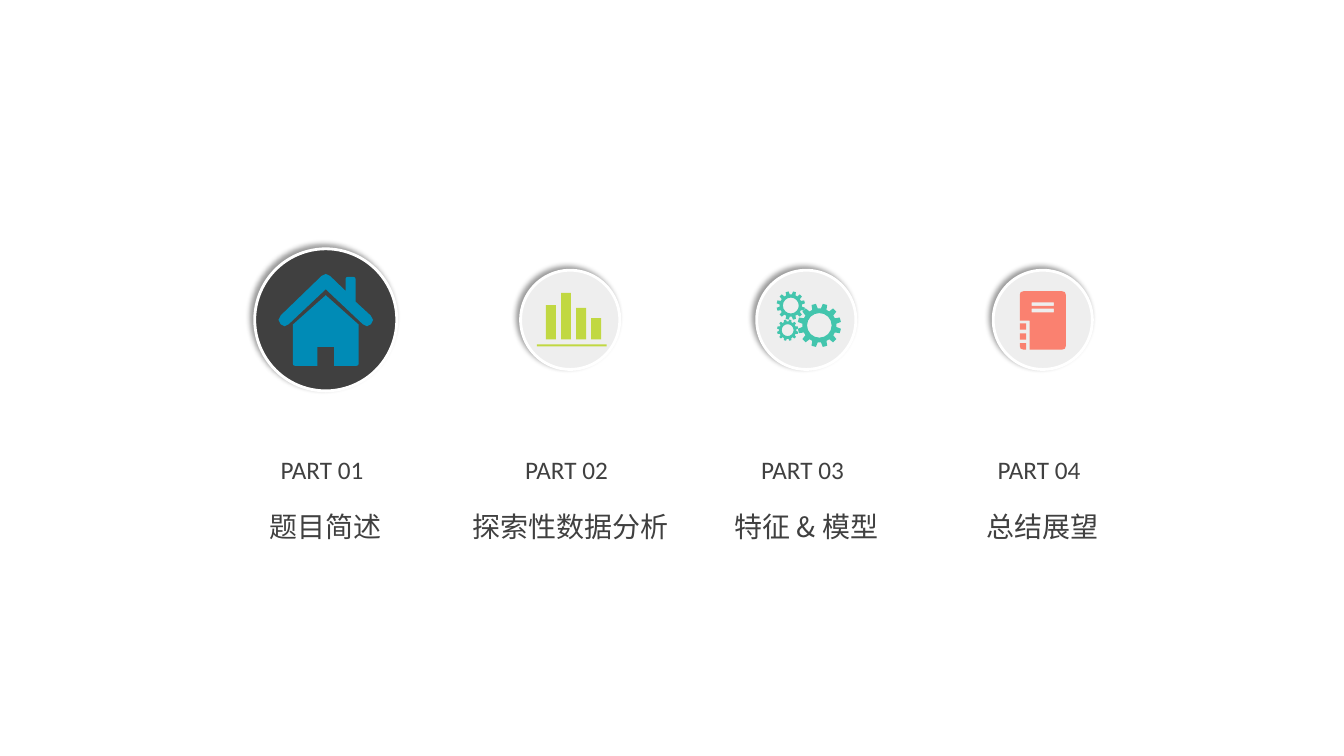
from math import cos, hypot, pi, sin

from lxml.etree import SubElement
from pptx import Presentation
from pptx.dml.color import RGBColor
from pptx.enum.shapes import MSO_SHAPE
from pptx.enum.text import MSO_AUTO_SIZE as AutoSize, PP_ALIGN as Align
from pptx.oxml.ns import qn
from pptx.util import Cm, Pt

COLORS = {
    "dark": "404040", "pale": "EEEEEE", "white": "FFFFFF", "black": "000000",
    "blue": "008BB6", "lime": "C1D842", "teal": "43C5AD", "coral": "FA8170",
}
LATIN, CJK = "Calibri", "Noto Sans CJK SC"
CIRCLE_Y = 8.06
PART_TOP, LABEL_TOP = 11.33, 12.71


def color(name):
    return RGBColor.from_string(COLORS[name])


def add_text(shapes, text, center, top, width, height, *, size, font, align=Align.LEFT):
    box = shapes.add_textbox(Cm(center - width / 2), Cm(top), Cm(width), Cm(height))
    frame = box.text_frame
    frame.word_wrap = True
    frame.auto_size = AutoSize.SHAPE_TO_FIT_TEXT
    paragraph = frame.paragraphs[0]
    paragraph.alignment = align
    run = paragraph.add_run()
    run.text = text
    run.font.size = Pt(size)
    run.font.name = font
    run.font.color.rgb = color("dark")
    SubElement(run.font._element, qn("a:ea"), typeface=font)


def add_shadow(shape):
    """Give the shape a soft shadow towards its upper left."""
    effects = SubElement(shape._element.spPr, qn("a:effectLst"))
    shadow = SubElement(effects, qn("a:outerShdw"), blurRad=str(Pt(4)), dist=str(Pt(3)),
                        dir=str(225 * 60000), algn="br", rotWithShape="0")
    black = SubElement(shadow, qn("a:srgbClr"), val=COLORS["black"])
    SubElement(black, qn("a:alpha"), val="40000")


def add_circle(shapes, center, diameter, fill):
    circle = shapes.add_shape(MSO_SHAPE.OVAL, Cm(center - diameter / 2),
                              Cm(CIRCLE_Y - diameter / 2), Cm(diameter), Cm(diameter))
    circle.fill.solid()
    circle.fill.fore_color.rgb = color(fill)
    circle.line.color.rgb = color("white")
    circle.line.width = Pt(2)
    add_shadow(circle)


def paint_flat(shape, fill):
    shape.shadow.inherit = False
    shape.fill.solid()
    shape.fill.fore_color.rgb = color(fill)
    shape.line.fill.background()


def add_outline(shapes, center, fill, *contours):
    """Draw closed contours, in cm from the circle's centre, as one shape."""
    placed = [[(Cm(center + x), Cm(CIRCLE_Y + y)) for x, y in contour]
              for contour in contours]
    builder = shapes.build_freeform(*placed[0][0], scale=1.0)
    for index, points in enumerate(placed):
        if index:
            builder.move_to(*points[0])
        builder.add_line_segments(points[1:], close=True)
    paint_flat(builder.convert_to_shape(), fill)


def rounded(corners, steps=2):
    """Return a polygon whose corners (x, y, cut) are replaced by curves."""
    points = []
    for index, (x, y, cut) in enumerate(corners):
        if not cut:
            points.append((x, y))
            continue
        ends = []
        for other_x, other_y, _ in (corners[index - 1], corners[(index + 1) % len(corners)]):
            share = cut / hypot(other_x - x, other_y - y)
            ends.append((x + (other_x - x) * share, y + (other_y - y) * share))
        (x1, y1), (x2, y2) = ends
        for step in range(steps + 1):
            t = step / steps
            a, b, c = (1 - t) ** 2, 2 * t * (1 - t), t * t
            points.append((a * x1 + b * x + c * x2, a * y1 + b * y + c * y2))
    return points


def rectangle(left, top, right, bottom):
    return [(left, top), (right, top), (right, bottom), (left, bottom)]


def polar(x, y, radius, angle):
    return x + radius * cos(angle), y + radius * sin(angle)


def gear(x, y, tip, root, hole, teeth=12, hole_sides=16):
    """Return the toothed rim and the hole of a gear."""
    pitch = 2 * pi / teeth
    profile = ((-0.32, root), (-0.2, tip), (0.2, tip), (0.32, root))
    rim = [polar(x, y, radius, (tooth + 0.5 + offset) * pitch)
           for tooth in range(teeth) for offset, radius in profile]
    inside = [polar(x, y, hole, -step * 2 * pi / hole_sides) for step in range(hole_sides)]
    return rim, inside


def draw_house(shapes, center):
    body = [(0, -0.62, 0), (0.83, 0.12, 0), (0.83, 1.16, 0.06), (0.21, 1.16, 0),
            (0.21, 0.68, 0), (-0.21, 0.68, 0), (-0.21, 1.16, 0),
            (-0.83, 1.16, 0.06), (-0.83, 0.12, 0)]
    roof = [(0, -1.21, 0.15), (0.5, -0.73, 0), (0.5, -1.08, 0.05), (0.75, -1.08, 0.05),
            (0.75, -0.46, 0), (1.25, 0, 0.16), (1.04, 0.21, 0.14), (0, -0.77, 0),
            (-1.04, 0.21, 0.14), (-1.25, 0, 0.16)]
    for part in (body, roof):
        add_outline(shapes, center, "blue", rounded(part))


def draw_bars(shapes, center):
    bars = [rectangle(-0.61 + 0.38 * index, top, -0.36 + 0.38 * index, 0.49)
            for index, top in enumerate((-0.37, -0.68, -0.3, -0.04))]
    add_outline(shapes, center, "lime", rectangle(-0.84, 0.62, 0.92, 0.67), *bars)


def draw_gears(shapes, center):
    for size in ((0.33, 0.14, 0.55, 0.43, 0.31), (-0.39, -0.36, 0.36, 0.28, 0.2),
                 (-0.47, 0.26, 0.27, 0.22, 0.15)):
        add_outline(shapes, center, "teal", *gear(*size))


def draw_notebook(shapes, center):
    cover = [(-0.58, -0.72, 0.09), (0.58, -0.72, 0.09), (0.58, 0.75, 0.09),
             (-0.33, 0.75, 0), (-0.33, 0.02, 0), (-0.58, 0.02, 0)]
    title_lines = [rectangle(-0.28, top, 0.28, top + 0.09)[::-1] for top in (-0.44, -0.28)]
    add_outline(shapes, center, "coral", rounded(cover), *title_lines)
    corner_tab = [(-0.58, 0.59, 0), (-0.42, 0.59, 0), (-0.42, 0.75, 0), (-0.58, 0.75, 0.09)]
    add_outline(shapes, center, "coral", rounded(corner_tab))
    for top in (0.09, 0.34):
        tab = shapes.add_shape(MSO_SHAPE.RECTANGLE, Cm(center - 0.58), Cm(CIRCLE_Y + top),
                               Cm(0.16), Cm(0.16))
        paint_flat(tab, "coral")


def add_part(slide, number, center, diameter, fill, draw_icon, label, label_width):
    shapes = slide.shapes.add_group_shape().shapes
    add_circle(shapes, center, diameter, fill)
    draw_icon(shapes, center)
    add_text(shapes, f"PART {number:02}", center, PART_TOP, 2.77, 1.02, size=18, font=LATIN)
    add_text(shapes, label, center, LABEL_TOP, label_width, 1.12,
             size=20, font=CJK, align=Align.CENTER)


def main():
    presentation = Presentation()
    presentation.slide_width, presentation.slide_height = Cm(33.87), Cm(19.05)
    slide = presentation.slides.add_slide(presentation.slide_layouts[6])
    parts = (
        (8.21, 3.58, "dark", draw_house, "题目简述", 3.4),
        (14.37, 2.5, "pale", draw_bars, "探索性数据分析", 5.66),
        (20.32, 2.5, "pale", draw_gears, "特征 & 模型", 4.39),
        (26.28, 2.5, "pale", draw_notebook, "总结展望", 3.4),
    )
    for number, part in enumerate(parts, start=1):
        add_part(slide, number, *part)
    presentation.save("out.pptx")


if __name__ == "__main__":
    main()
